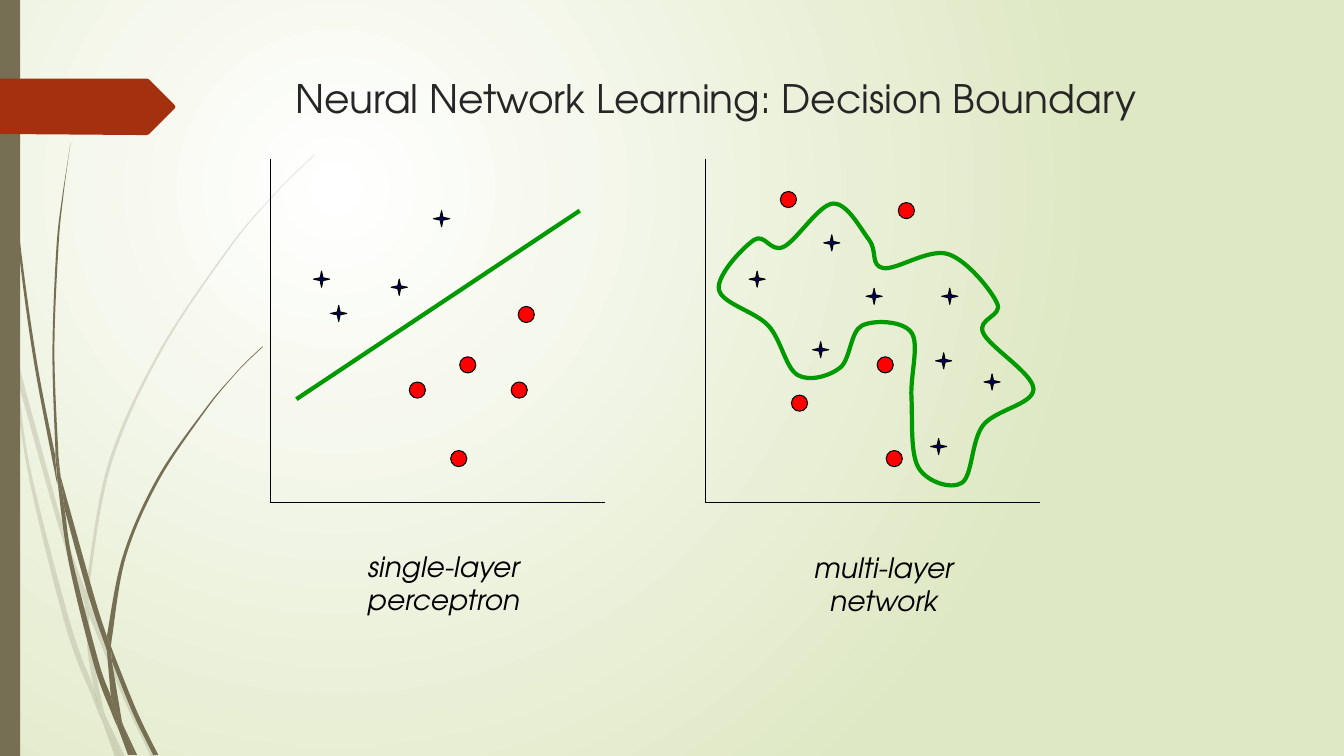
from lxml import etree
from pptx import Presentation
from pptx.dml.color import RGBColor
from pptx.enum.shapes import MSO_CONNECTOR, MSO_SHAPE
from pptx.enum.text import MSO_ANCHOR, MSO_AUTO_SIZE, PP_ALIGN
from pptx.oxml.ns import qn
from pptx.util import Inches, Pt

RECT, STAR, DOT = MSO_SHAPE.RECTANGLE, MSO_SHAPE.STAR_4_POINT, MSO_SHAPE.OVAL
STRAIGHT = MSO_CONNECTOR.STRAIGHT
LEFT, CENTER = PP_ALIGN.LEFT, PP_ALIGN.CENTER
TOP, GROW = MSO_ANCHOR.TOP, MSO_AUTO_SIZE.SHAPE_TO_FIT_TEXT

W, H = 13.33, 7.5
FONT = "TeX Gyre Adventor"
BLACK, GREEN, RED, NAVY = "000000", "009900", "FF0000", "000066"
EARTH, RUST, INK = "766F54", "A53010", "262626"
AXIS_TOP, AXIS_BOTTOM, AXIS_WIDTH = 1.58, 4.99, 3.32
MARK = 0.16

PALE_STRANDS = [
    [[(0.11, 3.5), (0.09, 3.22), (0, 2.82)], [(0, 2.99), (0.1, 3.44)]],
    [[(0.14, 3.45)], [(0.17, 3.76), (0.58, 5.22), (0.84, 5.99)],
     [(0.85, 5.86), (0.62, 5.2), (0.14, 3.45)]],
    [[(0.88, 5.96)], [(0.88, 6.1), (1.23, 6.94), (1.5, 7.51)],
     [(1.55, 7.51), (1.27, 6.92), (0.92, 6.07), (0.88, 5.96)]],
    [[(1.19, 7.51)], [(1.24, 7.51), (1.05, 7.11)]],
    [[(0.11, 3.5), (0.28, 4.7), (0.65, 6.21), (0.92, 6.93), (1.01, 7.14)],
     [(0.99, 7.07), (0.93, 6.83), (0.7, 6.19), (0.31, 4.69), (0.17, 3.76), (0.11, 3.5)]],
    [[(0.84, 5.99), (0.87, 6.46), (0.93, 6.83)], [(0.96, 6.92), (1.05, 7.11)],
     [(1.03, 7.06), (0.91, 6.46), (0.88, 6.1)], [(0.88, 6.08)]],
    [[(0.88, 5.84), (1.1, 4.62), (1.6, 3.49), (2.29, 2.45), (2.68, 1.98), (2.9, 1.75), (3.12, 1.54)],
     [(3.12, 1.53), (2.89, 1.75), (2.68, 1.97), (2.28, 2.44), (1.58, 3.48), (1.07, 4.61),
      (0.85, 5.84)], [(0.85, 5.86), (0.88, 5.96)]],
    [[(1.01, 7.14), (1.14, 7.51)], [(1.19, 7.51)]],
    [[(0.88, 6.08)], [(0.88, 6.1)], [(0.88, 5.96)], [(0.85, 5.86)], [(0.84, 5.99)]],
    [[(0.93, 6.83), (0.99, 7.07), (1.01, 7.14), (1.19, 7.51)], [(1.05, 7.11), (0.96, 6.92)]],
]
DARK_STRANDS = [
    [[(0.07, 1.1), (0.17, 2.33), (0.33, 3.55), (0.56, 4.77)], [(0.57, 4.81)],
     [(0.55, 4.57)], [(0.55, 4.53), (0.36, 3.55), (0.19, 2.32), (0.08, 1.09), (0.05, 0.48), (0.04, 0)],
     [(0.03, 0), (0.04, 0.48), (0.07, 1.1)]],
    [[(0.6, 4.72)], [(0.64, 5.05), (0.88, 5.92), (1.06, 6.45)], [(1.06, 6.33)],
     [(1.06, 6.31), (0.93, 5.9), (0.6, 4.72)]],
    [[(1.1, 6.41)], [(1.11, 6.56), (1.32, 7.08), (1.52, 7.49)],
     [(1.57, 7.49), (1.36, 7.06), (1.13, 6.49)]],
    [[(0.57, 4.77), (0.68, 5.57), (0.93, 6.59), (1.11, 7.08), (1.17, 7.22)],
     [(1.16, 7.17), (1.1, 6.91), (0.98, 6.57), (0.72, 5.56), (0.64, 5.05), (0.57, 4.77)]],
    [[(0.6, 4.72)], [(0.58, 4.53), (0.54, 3.49), (0.58, 2.45), (0.63, 1.93), (0.7, 1.41)],
     [(0.62, 1.93), (0.56, 2.45), (0.52, 3.49), (0.55, 4.49)]],
    [[(1.33, 7.49)], [(1.36, 7.49), (1.22, 7.19)]],
    [[(0.57, 4.77), (0.64, 5.05)], [(0.6, 4.72), (0.55, 4.49)], [(0.55, 4.53)]],
    [[(1.11, 6.33), (1.25, 5.52), (1.58, 4.76), (2.05, 4.06), (2.31, 3.74), (2.45, 3.59), (2.61, 3.44)],
     [(2.6, 3.44), (2.45, 3.58), (2.31, 3.73), (2.04, 4.05), (1.56, 4.74), (1.22, 5.51),
      (1.06, 6.31)], [(1.1, 6.41)]],
    [[(1.17, 7.22), (1.27, 7.49)], [(1.31, 7.49)]],
    [[(1.06, 6.45), (1.1, 6.91)], [(1.16, 7.06), (1.22, 7.19)],
     [(1.21, 7.16), (1.11, 6.56)], [(1.09, 6.51)]],
    [[(1.06, 6.45)], [(1.09, 6.51)], [(1.11, 6.56)], [(1.1, 6.41)], [(1.06, 6.31)], [(1.06, 6.33)]],
    [[(1.1, 6.91), (1.16, 7.17)], [(1.17, 7.22), (1.3, 7.49)],
     [(1.33, 7.49), (1.22, 7.19), (1.16, 7.06)]],
]
TAG = [[(1.73, 1.04), (1.74, 1.06), (1.73, 1.08)], [(1.48, 1.33), (1.46, 1.34)], [(1.36, 1.34)],
       [(0, 1.33)], [(0, 0.78)], [(1.36, 0.78)], [(1.46, 0.78), (1.48, 0.79)]]
BOUNDARY = [
    (7.77, 2.45), (8.26, 2.02), (8.62, 2.38), (8.76, 2.66), (9.4, 2.52), (9.89, 3.01),
    (9.75, 3.3), (10.25, 3.86), (9.75, 4.22), (9.54, 4.79), (9.11, 4.64), (9.04, 3.94),
    (9.04, 3.3), (8.55, 3.23), (8.33, 3.65), (7.91, 3.72), (7.62, 3.23), (7.13, 2.87),
    (7.48, 2.38),
]
SINGLE_STARS = [(4.3, 2.09), (3.88, 2.77), (3.28, 3.03), (3.11, 2.69)]
SINGLE_DOTS = [(4.56, 3.54), (5.07, 3.79), (4.47, 4.47), (5.14, 3.04), (4.06, 3.79)]
MULTI_STARS = [(9.34, 2.86), (9.23, 4.35), (8.59, 2.86), (7.43, 2.69), (8.17, 2.33),
               (8.06, 3.39), (9.28, 3.5), (9.76, 3.71)]
MULTI_DOTS = [(8.7, 3.54), (7.85, 3.92), (8.79, 4.47), (8.91, 2.01), (7.74, 1.9)]


def rgb(color):
    """Turn a hex string into a colour."""
    return RGBColor.from_string(color)


def handle(p, q, r):
    """Return the curve handle at p, directed from q to r."""
    return tuple(a + (c - b) / 6 for a, b, c in zip(p, q, r))


def trace(edges, loop):
    """Return the segments through smooth edges that meet at corners."""
    segments = []
    for i, edge in enumerate(edges):
        if i:
            segments.append([edge[0]])
        knots = edge[-1:] + edge + (edge[:2] if loop else edge[-1:])
        if not loop:
            knots[0] = edge[0]
        for a, b, c, d in zip(knots, knots[1:], knots[2:], knots[3:]):
            segments.append([handle(b, a, c), handle(c, d, b), c])
    return segments


def paint(sp, fill=None, line=None, weight=0.75, alpha=None):
    """Set the fill, outline and opacity of a shape."""
    sp.shadow.inherit = False
    if fill:
        sp.fill.solid()
        sp.fill.fore_color.rgb = rgb(fill)
    else:
        sp.fill.background()
    if line:
        sp.line.color.rgb = rgb(line)
        sp.line.width = Pt(weight)
    else:
        sp.line.fill.background()
    if alpha:
        clr = sp._element.spPr.find(qn("a:solidFill"))[0]
        etree.SubElement(clr, qn("a:alpha"), val=str(alpha * 1000))


def add_outline(shapes, edges, loop=False, **style):
    """Draw a closed outline with curved edges."""
    segments = trace(edges, loop)
    fb = shapes.build_freeform(*map(Inches, edges[0][0]))
    fb.add_line_segments([tuple(map(Inches, seg[-1])) for seg in segments], close=True)
    sp = fb.convert_to_shape()
    for node, seg in zip(list(sp._element.iter(qn("a:lnTo"))), segments):
        if len(seg) == 3:
            curve = etree.Element(qn("a:cubicBezTo"))
            for x, y in seg:
                etree.SubElement(curve, qn("a:pt"), x=str(Inches(x) - sp.left),
                                 y=str(Inches(y) - sp.top))
            node.getparent().replace(node, curve)
    paint(sp, **style)


def add_preset(shapes, kind, box, adj=None, **style):
    """Add a preset shape."""
    sp = shapes.add_shape(kind, *map(Inches, box))
    if adj is not None:
        sp.adjustments[0] = adj
    paint(sp, **style)


def add_line(shapes, start, end, color=BLACK, weight=0.75):
    """Add a straight line."""
    c = shapes.add_connector(STRAIGHT, *map(Inches, start + end))
    c.line.color.rgb = rgb(color)
    c.line.width = Pt(weight)
    etree.SubElement(c._element.spPr, qn("a:effectLst"))


def write(sp, box, text, size, color, align, italic=False):
    """Place a text shape and format its single paragraph."""
    sp.left, sp.top, sp.width, sp.height = map(Inches, box)
    tf = sp.text_frame
    tf.text, tf.word_wrap, tf.vertical_anchor = text, True, TOP
    p = tf.paragraphs[0]
    p.alignment = align
    p.font.name, p.font.size, p.font.italic = FONT, Pt(size), italic
    p.font.color.rgb = rgb(color)


def add_caption(s, box, text):
    """Add an italic caption under a plot."""
    sp = s.shapes.add_textbox(*map(Inches, box))
    write(sp, box, text, 20, BLACK, CENTER, italic=True)
    sp.text_frame.auto_size = GROW


def add_plot(s, left, stars, dots):
    """Group two axes with the marks of both classes."""
    shapes = s.shapes.add_group_shape().shapes
    corner = (left, AXIS_BOTTOM)
    add_line(shapes, (left, AXIS_TOP), corner)
    add_line(shapes, corner, (left + AXIS_WIDTH, AXIS_BOTTOM))
    for x, y in stars:
        add_preset(shapes, STAR, (x, y, MARK, MARK), adj=0.125, fill=NAVY, line=BLACK)
    for x, y in dots:
        add_preset(shapes, DOT, (x, y, MARK, MARK), fill=RED, line=BLACK)
    return shapes


def set_background(s):
    """Fill the background with a round gradient."""
    fill = s.background.fill
    fill.gradient()
    for stop, color in zip(fill.gradient_stops, ("FFFFFF", "DFE8C4")):
        stop.color.rgb = rgb(color)
    grad = s._element.find(".//" + qn("a:gradFill"))
    grad.remove(grad.find(qn("a:lin")))
    circle = etree.SubElement(grad, qn("a:path"), {"path": "circle"})
    etree.SubElement(circle, qn("a:fillToRect"), l="50000", t="50000", r="100000", b="100000")


def add_decoration(s):
    """Draw the strands, side bar and tag at the left edge."""
    for strands, alpha in ((PALE_STRANDS, 20), (DARK_STRANDS, None)):
        shapes = s.shapes.add_group_shape().shapes
        for edges in strands:
            add_outline(shapes, edges, fill=EARTH, alpha=alpha)
    add_preset(s.shapes, RECT, (0, 0, 0.2, H), fill=EARTH)
    add_outline(s.shapes, TAG, fill=RUST)


def main():
    """Build the slide and save it."""
    prs = Presentation()
    prs.slide_width, prs.slide_height = Inches(W), Inches(H)
    s = prs.slides.add_slide(prs.slide_layouts[5])
    set_background(s)
    add_decoration(s)
    write(s.shapes.title, (2.83, 0.69, 9.75, 1.4),
          "Neural Network Learning: Decision Boundary", 28, INK, LEFT)
    single = add_plot(s, 2.68, SINGLE_STARS, SINGLE_DOTS)
    add_line(single, (2.94, 3.96), (5.75, 2.09), GREEN, 3)
    multi = add_plot(s, 7, MULTI_STARS, MULTI_DOTS)
    add_outline(multi, [BOUNDARY], loop=True, line=GREEN, weight=3)
    add_caption(s, (2.99, 5.4, 2.82, 0.44), "single-layer perceptron")
    add_caption(s, (7.5, 5.41, 2.53, 0.43), "multi-layer network")
    prs.save("out.pptx")


if __name__ == "__main__":
    main()
